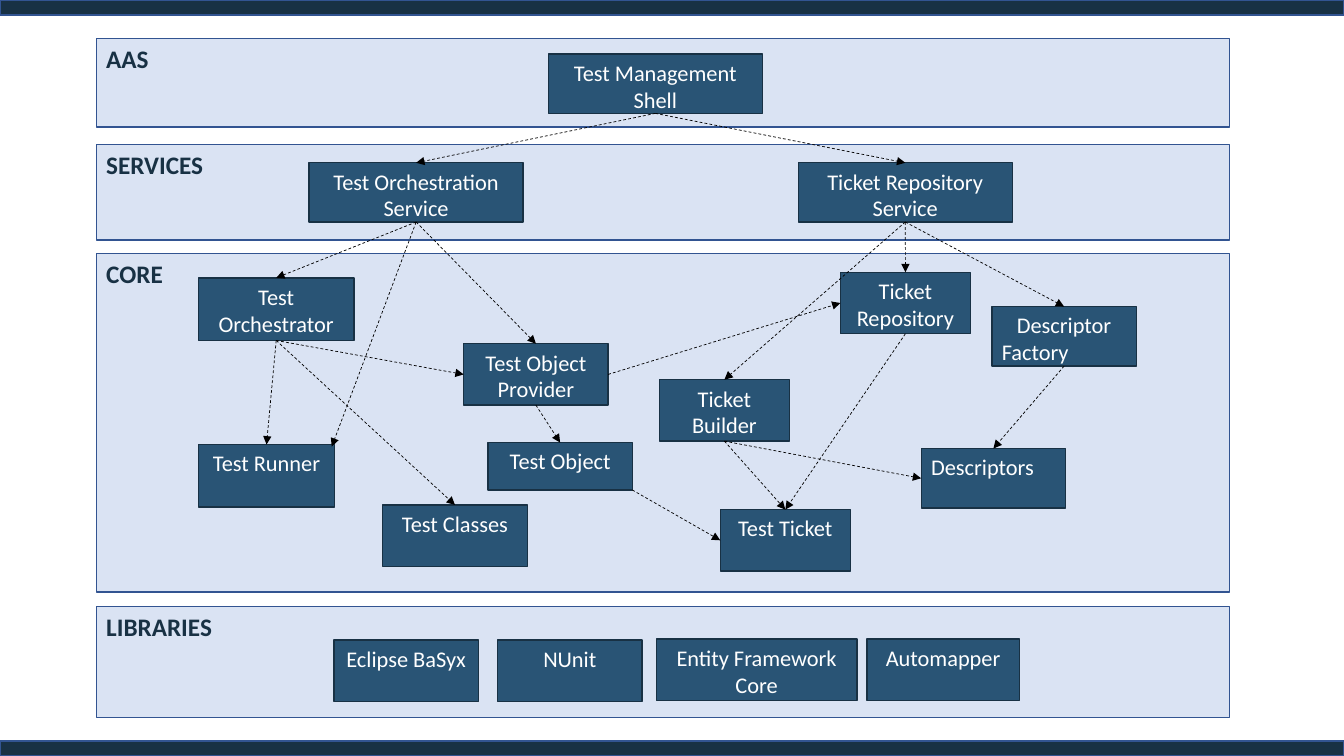
from lxml import etree
from pptx import Presentation
from pptx.dml.color import RGBColor
from pptx.enum.dml import MSO_LINE
from pptx.enum.shapes import MSO_CONNECTOR, MSO_SHAPE
from pptx.enum.text import MSO_ANCHOR, PP_ALIGN
from pptx.oxml.ns import qn
from pptx.util import Pt

RECTANGLE = MSO_SHAPE.RECTANGLE
STRAIGHT = MSO_CONNECTOR.STRAIGHT
DASH = MSO_LINE.DASH
ANCHOR_TOP = MSO_ANCHOR.TOP
LEFT_ALIGN, CENTER_ALIGN = PP_ALIGN.LEFT, PP_ALIGN.CENTER
TOP, LEFT, BOTTOM, RIGHT = range(4)

FONT = "Calibri"
NAVY, BLUE, EDGE, PALE = "183144", "295475", "325491", "DAE3F3"
WHITE, BLACK = "FFFFFF", "000000"
SLIDE_WIDTH, SLIDE_HEIGHT, BAR_HEIGHT = 960, 540, 10.8
LAYER_LEFT, LAYER_WIDTH = 68.8, 809.3

# Layer: top, height
LAYERS = {
    "AAS": (27.4, 63.4),
    "SERVICES": (103, 68.4),
    "CORE": (180.9, 242),
    "LIBRARIES": (433.4, 79.2),
}

# Component: left, top, width, height
COMPONENTS = {
    "Test Management Shell": (391.7, 38.7, 152.9, 42.3),
    "Test Orchestration Service": (220.8, 116.3, 152.9, 42.3),
    "Ticket Repository Service": (570.2, 116.3, 152.9, 42.3),
    "Test Orchestrator": (141.8, 198.5, 111, 44.7),
    "Test Object Provider": (331.2, 245.5, 103.2, 43.9),
    "Ticket Repository": (600.3, 194.5, 92.9, 43.9),
    "Descriptor\nFactory": (708.5, 219, 103.2, 42.5),
    "Ticket Builder": (471, 271.2, 92.9, 43.9),
    "Test Runner": (141.8, 317.5, 97.2, 44.6),
    "Test Object": (348.5, 316.1, 103.2, 33.9),
    "Test Classes": (273.4, 360.7, 103.2, 43.9),
    "Test Ticket": (514.5, 364, 92.9, 43.9),
    "Descriptors": (658, 320.4, 103.2, 42.5),
    "Eclipse BaSyx": (238.5, 457.2, 103.2, 43.9),
    "NUnit": (355.4, 457.2, 103.2, 43.9),
    "Entity Framework Core": (468.8, 456.5, 143.3, 43.9),
    "Automapper": (619.2, 456.5, 109, 43.9),
}
# Last line stands at the left
LEFT_ENDING = ("Descriptor\nFactory", "Descriptors")

# Dependency: source, side, target, side
DEPENDENCIES = [
    ("Test Management Shell", BOTTOM, "Test Orchestration Service", TOP),
    ("Test Management Shell", BOTTOM, "Ticket Repository Service", TOP),
    ("Test Orchestration Service", BOTTOM, "Test Orchestrator", TOP),
    ("Test Orchestration Service", BOTTOM, "Test Object Provider", TOP),
    ("Ticket Repository Service", BOTTOM, "Ticket Builder", TOP),
    ("Ticket Repository Service", BOTTOM, "Ticket Repository", TOP),
    ("Ticket Repository Service", BOTTOM, "Descriptor\nFactory", TOP),
    ("Test Orchestrator", BOTTOM, "Test Runner", TOP),
    ("Test Orchestrator", BOTTOM, "Test Object Provider", LEFT),
    ("Test Orchestrator", BOTTOM, "Test Classes", TOP),
    ("Test Object Provider", BOTTOM, "Test Object", TOP),
    ("Test Object Provider", RIGHT, "Ticket Repository", LEFT),
    ("Ticket Repository", BOTTOM, "Test Ticket", TOP),
    ("Ticket Builder", BOTTOM, "Test Ticket", TOP),
    ("Ticket Builder", BOTTOM, "Descriptors", LEFT),
    ("Descriptor\nFactory", BOTTOM, "Descriptors", TOP),
]


def color(hex_string):
    return RGBColor.from_string(hex_string)


def add_box(slide, bounds, fill, edge):
    box = slide.shapes.add_shape(RECTANGLE, *map(Pt, bounds))
    box.shadow.inherit = False
    box.fill.solid()
    box.fill.fore_color.rgb = color(fill)
    box.line.color.rgb = color(edge)
    box.line.width = Pt(1)
    return box


def write(box, text, size, text_color, alignment, bold=False):
    frame = box.text_frame
    frame.word_wrap = True
    frame.vertical_anchor = ANCHOR_TOP
    frame.text = text
    for para in frame.paragraphs:
        para.alignment = alignment
        para.font.name = FONT
        para.font.size = Pt(size)
        para.font.bold = bold
        para.font.color.rgb = color(text_color)


def add_layer(slide, name, top, height):
    layer = add_box(slide, (LAYER_LEFT, top, LAYER_WIDTH, height), PALE, EDGE)
    write(layer, name, 18, NAVY, LEFT_ALIGN, bold=True)


def add_component(slide, name, bounds):
    component = add_box(slide, bounds, BLUE, NAVY)
    write(component, name, 16, WHITE, CENTER_ALIGN)
    if name in LEFT_ENDING:
        component.text_frame.paragraphs[-1].alignment = LEFT_ALIGN
    return component


def add_arrow(slide, start=(0, 0), end=(0, 0)):
    arrow = slide.shapes.add_connector(STRAIGHT, *map(Pt, start + end))
    arrow.line.color.rgb = color(BLACK)
    arrow.line.width = Pt(0.5)
    arrow.line.dash_style = DASH
    properties = arrow._element.spPr
    etree.SubElement(properties.find(qn("a:ln")), qn("a:tailEnd"), type="triangle")
    etree.SubElement(properties, qn("a:effectLst"))
    return arrow


def main():
    deck = Presentation()
    deck.slide_width, deck.slide_height = Pt(SLIDE_WIDTH), Pt(SLIDE_HEIGHT)
    slide = deck.slides.add_slide(deck.slide_layouts[6])

    # Bars at the slide edges
    for top in (0, SLIDE_HEIGHT - BAR_HEIGHT):
        add_box(slide, (0, top, SLIDE_WIDTH, BAR_HEIGHT), NAVY, EDGE)

    # Layers and their components
    for name, (top, height) in LAYERS.items():
        add_layer(slide, name, top, height)
    boxes = {name: add_component(slide, name, bounds)
             for name, bounds in COMPONENTS.items()}

    # Dependencies between side middles
    for source, source_side, target, target_side in DEPENDENCIES:
        arrow = add_arrow(slide)
        arrow.begin_connect(boxes[source], source_side)
        arrow.end_connect(boxes[target], target_side)

    # Dependencies that meet a box near its corner
    to_runner = add_arrow(slide, end=(237, 319))
    to_runner.begin_connect(boxes["Test Orchestration Service"], BOTTOM)
    from_object = add_arrow(slide, start=(451.7, 350))
    from_object.end_connect(boxes["Test Ticket"], LEFT)

    deck.save("out.pptx")


if __name__ == "__main__":
    main()
